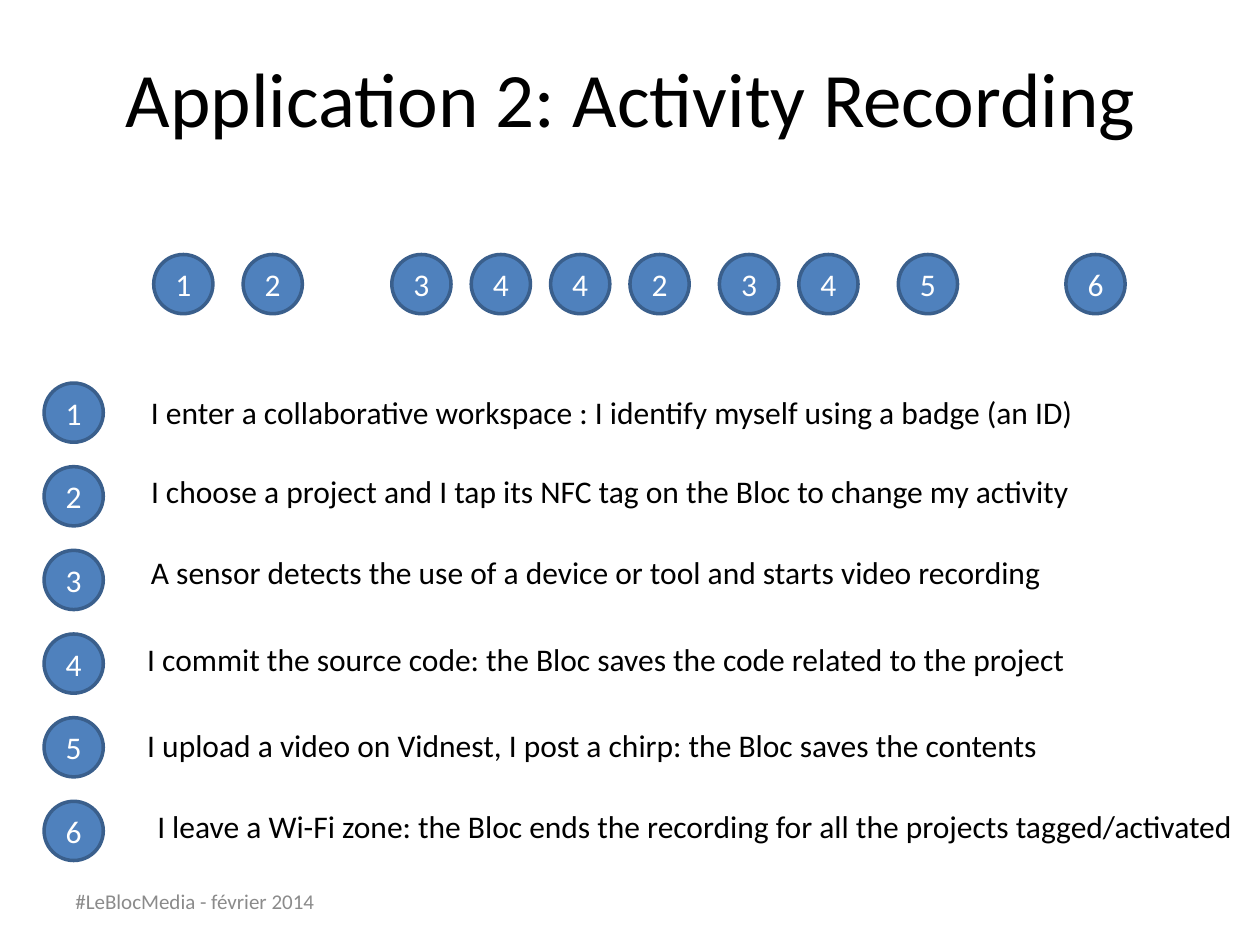
from pptx import Presentation
from pptx.dml.color import RGBColor
from pptx.enum.shapes import MSO_SHAPE
from pptx.enum.text import MSO_ANCHOR, PP_ALIGN
from pptx.util import Inches, Pt

OVAL = MSO_SHAPE.OVAL
MIDDLE = MSO_ANCHOR.MIDDLE
CENTER, LEFT = PP_ALIGN.CENTER, PP_ALIGN.LEFT

FONT = "Calibri"
COLORS = {
    "text": "000000",
    "badge": "4F81BD",
    "outline": "3A5F8C",
    "number": "FFFFFF",
    "footer": "8B8B8B",
}

# Inches
BADGE_SIZE = 0.47
TIMELINE_TOP = 2.02
LEGEND_LEFT, LEGEND_TOP, LEGEND_BOTTOM = 0.35, 3.04, 6.36
LINE_HEIGHT = 0.4

# Step number and left edge of each event on the timeline
TIMELINE = [
    (1, 1.22), (2, 1.93), (3, 3.11), (4, 3.74), (4, 4.37),
    (2, 5.0), (3, 5.71), (4, 6.34), (5, 7.13), (6, 8.46),
]

# Wording, left, top and width of each step's description
STEPS = [
    ("I enter a collaborative workspace : I identify myself using a badge (an ID)",
     1.1, 3.07, 7.53),
    ("I choose a project and I tap its NFC tag on the Bloc to change my activity",
     1.1, 3.7, 7.58),
    ("A sensor detects the use of a device or tool and starts video recording",
     1.1, 4.34, 7.3),
    ("I commit the source code: the Bloc saves the code related to the project",
     1.07, 5.03, 7.58),
    ("I upload a video on Vidnest, I post a chirp: the Bloc saves the contents",
     1.07, 5.71, 7.51),
    ("I leave a Wi-Fi zone: the Bloc ends the recording for all the projects tagged/activated",
     1.15, 6.36, 8.83),
]


def rgb(name):
    return RGBColor.from_string(COLORS[name])


def write(frame, wording, size, color, align=LEFT):
    frame.text = wording
    paragraph = frame.paragraphs[0]
    paragraph.alignment = align
    paragraph.font.name = FONT
    paragraph.font.size = Pt(size)
    paragraph.font.color.rgb = rgb(color)


def add_title(slide, wording):
    title = slide.shapes.title
    title.left, title.top = Inches(0.51), Inches(0.14)
    title.width, title.height = Inches(9), Inches(1.25)
    title.text_frame.vertical_anchor = MIDDLE
    write(title.text_frame, wording, 44, "text", CENTER)


def add_badge(slide, number, left, top):
    badge = slide.shapes.add_shape(
        OVAL, Inches(left), Inches(top), Inches(BADGE_SIZE), Inches(BADGE_SIZE))
    badge.shadow.inherit = False
    badge.fill.solid()
    badge.fill.fore_color.rgb = rgb("badge")
    badge.line.color.rgb = rgb("outline")
    badge.line.width = Pt(2)
    badge.text_frame.vertical_anchor = MIDDLE
    write(badge.text_frame, str(number), 18, "number", CENTER)


def add_line(slide, wording, left, top, width, size=18, color="text"):
    box = slide.shapes.add_textbox(
        Inches(left), Inches(top), Inches(width), Inches(LINE_HEIGHT))
    box.text_frame.word_wrap = False
    write(box.text_frame, wording, size, color)
    return box


def main():
    deck = Presentation()
    deck.slide_width, deck.slide_height = Inches(10), Inches(7.5)
    slide = deck.slides.add_slide(deck.slide_layouts.get_by_name("Title Only"))

    add_title(slide, "Application 2: Activity Recording")

    # Timeline of events
    for number, left in TIMELINE:
        add_badge(slide, number, left, TIMELINE_TOP)

    # Numbered descriptions
    pitch = (LEGEND_BOTTOM - LEGEND_TOP) / (len(STEPS) - 1)
    for row, (wording, left, top, width) in enumerate(STEPS):
        add_badge(slide, row + 1, LEGEND_LEFT, LEGEND_TOP + row * pitch)
        add_line(slide, wording, left, top, width)

    # Footer
    footer = add_line(slide, "#LeBlocMedia - février 2014", 0.5, 6.95, 2.33, 12, "footer")
    footer.text_frame.word_wrap = True
    footer.text_frame.vertical_anchor = MIDDLE

    deck.save("out.pptx")


if __name__ == "__main__":
    main()
